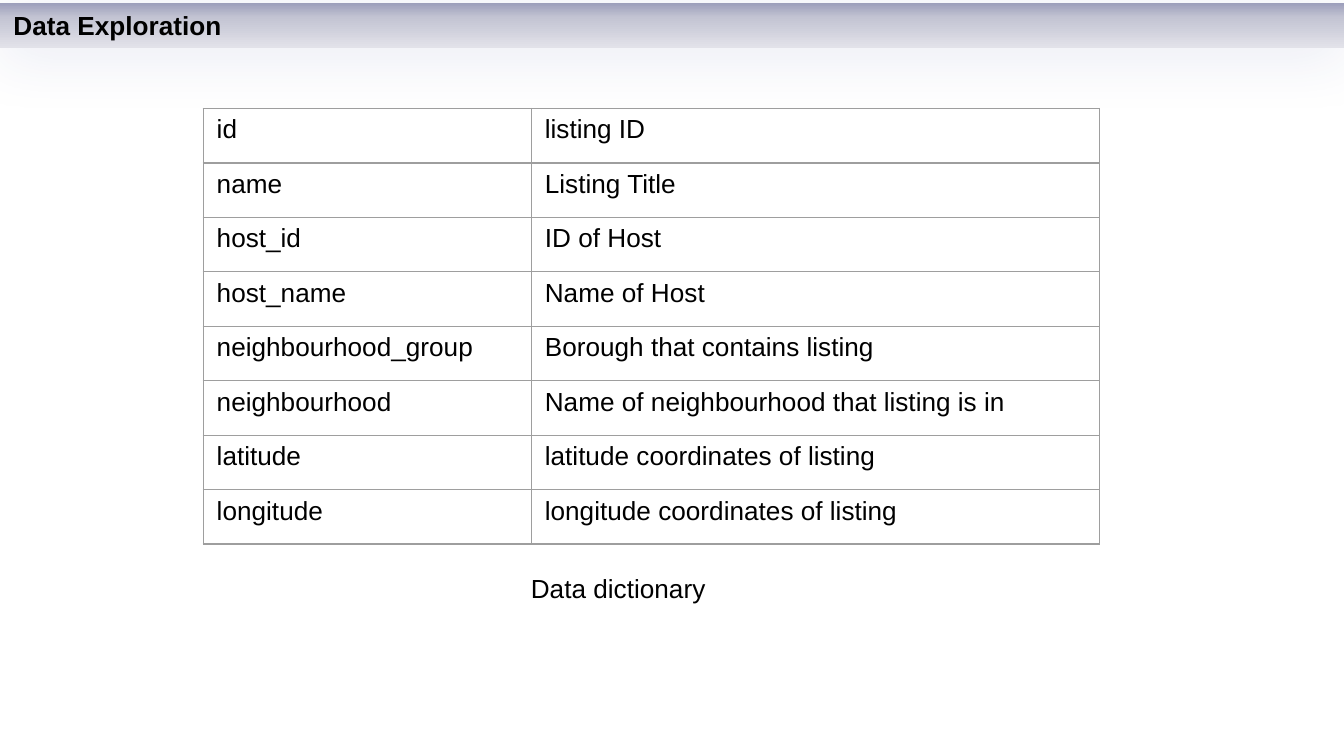
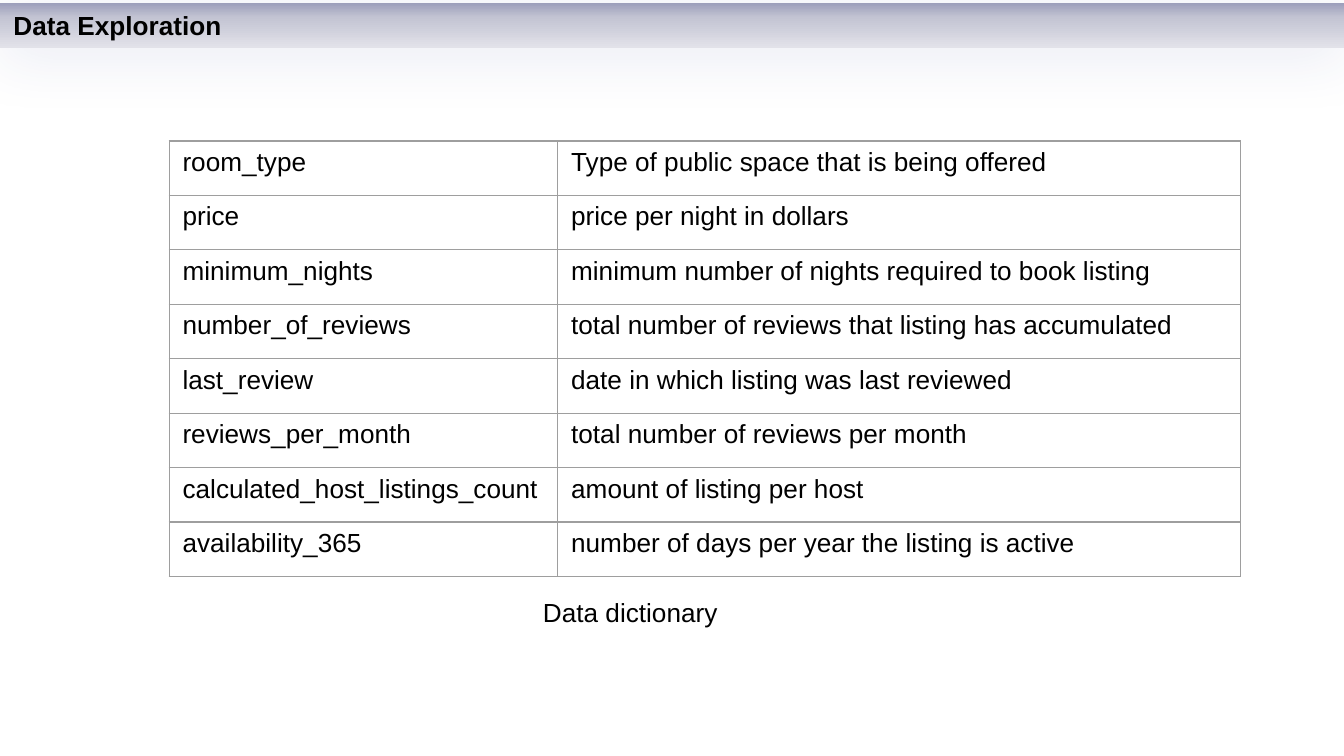
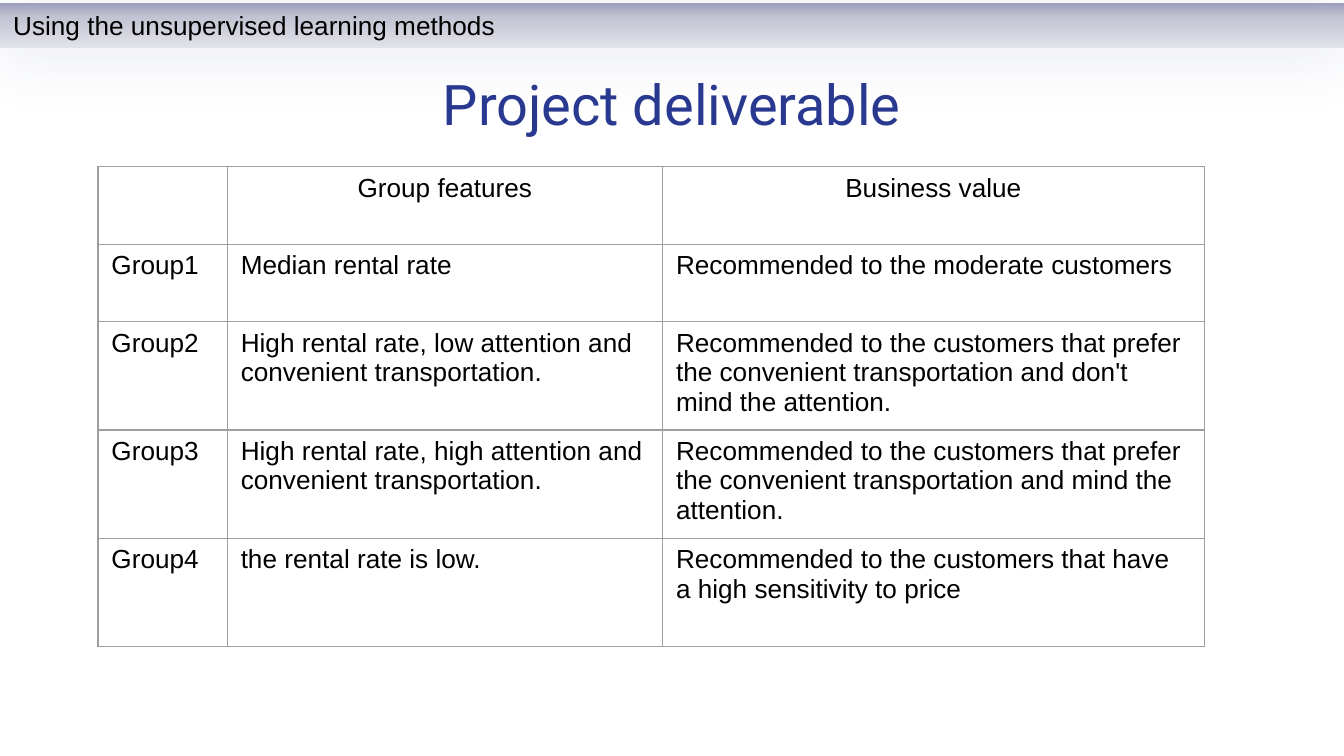
from pptx import Presentation
from pptx.dml.color import RGBColor
from pptx.enum.shapes import MSO_SHAPE
from pptx.enum.text import MSO_ANCHOR as ANCHOR, MSO_AUTO_SIZE as AUTO_SIZE, PP_ALIGN as ALIGN
from pptx.oxml import parse_xml
from pptx.oxml.ns import nsdecls
from pptx.util import Pt

COLORS = {"ink": "000000", "heading": "2A3990", "grid": "9E9E9E", "shadow": "2A3990"}
BAND_STOPS = [(0, "9B9DBA"), (33, "C3C4D3"), (100, "E2E2E9")]

BODY = {"name": "Arial", "size": Pt(14), "bold": False, "color": "ink"}
BAND_TITLE = {**BODY, "bold": True}
HEADING = {**BODY, "name": "Roboto", "size": Pt(30), "color": "heading"}

PAGE_SIZE = (720, 405)
BAND_AREA = (0, 1.4, 720, 24.3)
HEADING_AREA = (24.5, 31.6, 671, 47.5)
CAPTION_SIZE = (490, 24.3)
CAPTION_INDENT = 108
DICTIONARY_ROW = 29.18

PAGES = [
    {
        "title": "Data Exploration",
        "table": {
            "corner": (108.9, 58.1),
            "columns": [175.8, 304.2],
            "heights": [DICTIONARY_ROW] * 8,
            "rows": [
                ("id", "listing ID"),
                ("name", "Listing Title"),
                ("host_id", "ID of Host"),
                ("host_name", "Name of Host"),
                ("neighbourhood_group", "Borough that contains listing"),
                ("neighbourhood", "Name of neighbourhood that listing is in"),
                ("latitude", "latitude coordinates of listing"),
                ("longitude", "longitude coordinates of listing"),
            ],
        },
        "caption": ("Data dictionary", (176.4, 302.7)),
    },
    {
        "title": "Data Exploration",
        "table": {
            "corner": (90.6, 75.5),
            "columns": [208.2, 365.8],
            "heights": [DICTIONARY_ROW] * 8,
            "rows": [
                ("room_type", "Type of public space that is being offered"),
                ("price", "price per night in dollars"),
                ("minimum_nights", "minimum number of nights required to book listing"),
                ("number_of_reviews", "total number of reviews that listing has accumulated"),
                ("last_review", "date in which listing was last reviewed"),
                ("reviews_per_month", "total number of reviews per month"),
                ("calculated_host_listings_count", "amount of listing per host"),
                ("availability_365", "number of days per year the listing is active"),
            ],
        },
        "caption": ("Data dictionary", (182.9, 315.5)),
    },
    {
        "title": "Project deliverable",
        "band": "Using the unsupervised learning methods",
        "table": {
            "corner": (52.5, 89.4),
            "columns": [69.3, 233.2, 290.2],
            "heights": [41.5] * 2 + [58] * 3,
            "header": True,
            "rows": [
                ("", "Group features", "Business value"),
                ("Group1", "Median rental rate", "Recommended to the moderate customers"),
                ("Group2", "High rental rate, low attention and convenient transportation.",
                 "Recommended to the customers that prefer the convenient transportation "
                 "and don't mind the attention."),
                ("Group3", "High rental rate, high attention and convenient transportation.",
                 "Recommended to the customers that prefer the convenient transportation "
                 "and mind the attention."),
                ("Group4", "the rental rate is low.",
                 "Recommended to the customers that have a high sensitivity to price"),
            ],
        },
    },
]


def points(values):
    return [Pt(value) for value in values]


def write(frame, text, style, align=ALIGN.LEFT):
    para = frame.paragraphs[0]
    para.alignment = align
    span = para.add_run()
    span.text = text
    for name, value in style.items():
        if name == "color":
            span.font.color.rgb = RGBColor.from_string(COLORS[value])
        else:
            setattr(span.font, name, value)


def set_frame(frame, **extra):
    settings = {"word_wrap": True, "auto_size": AUTO_SIZE.NONE,
                "vertical_anchor": ANCHOR.MIDDLE, **extra}
    for name, value in settings.items():
        setattr(frame, name, value)


def draw_cell_grid(cell):
    properties = cell._tc.get_or_add_tcPr()
    for side in "LRTB":
        properties.append(parse_xml(
            f'<a:ln{side} {nsdecls("a")} w="{Pt(0.75)}"><a:solidFill>'
            f'<a:srgbClr val="{COLORS["grid"]}"/></a:solidFill></a:ln{side}>'))
    cell.fill.background()


def add_table(page, corner, columns, heights, rows, header=False):
    area = points([*corner, sum(columns), sum(heights)])
    table = page.shapes.add_table(len(rows), len(columns), *area).table
    table.first_row = header
    table.horz_banding = False
    for column, width in zip(table.columns, columns):
        column.width = Pt(width)
    for number, (row, height, texts) in enumerate(zip(table.rows, heights, rows)):
        row.height = Pt(height)
        align = ALIGN.CENTER if header and number == 0 else ALIGN.LEFT
        for cell, text in zip(row.cells, texts):
            draw_cell_grid(cell)
            if text:
                write(cell.text_frame, text, BODY, align)


def add_caption(page, text, corner):
    box = page.shapes.add_textbox(*points([*corner, *CAPTION_SIZE]))
    set_frame(box.text_frame, margin_left=Pt(CAPTION_INDENT))
    write(box.text_frame, text, BODY)


def add_band(page):
    """Add the shaded strip at the top, behind the page title."""
    band = page.shapes.add_shape(MSO_SHAPE.RECTANGLE, *points(BAND_AREA))
    band.line.fill.background()
    band.shadow.inherit = False
    stops = "".join(f'<a:gs pos="{share * 1000}"><a:srgbClr val="{color}"/></a:gs>'
                    for share, color in BAND_STOPS)
    properties = band.element.spPr
    properties.insert(2, parse_xml(
        f'<a:gradFill {nsdecls("a")}><a:gsLst>{stops}</a:gsLst>'
        '<a:lin ang="5400000" scaled="0"/></a:gradFill>'))
    properties[-1].append(parse_xml(
        f'<a:outerShdw {nsdecls("a")} blurRad="{Pt(32)}" dist="{Pt(4)}" dir="5400000" '
        f'algn="ctr" rotWithShape="0"><a:srgbClr val="{COLORS["shadow"]}">'
        '<a:alpha val="9000"/></a:srgbClr></a:outerShdw>'))
    set_frame(band.text_frame)
    page.shapes.title.element.addprevious(band.element)
    return band


def place_title(page, text, area, style, align):
    title = page.shapes.title
    title.left, title.top, title.width, title.height = points(area)
    set_frame(title.text_frame)
    write(title.text_frame, text, style, align)


def main():
    deck = Presentation()
    deck.slide_width, deck.slide_height = points(PAGE_SIZE)
    title_only = deck.slide_layouts[5]
    for content in PAGES:
        page = deck.slides.add_slide(title_only)
        band = add_band(page)
        if "band" in content:
            write(band.text_frame, content["band"], BODY)
            place_title(page, content["title"], HEADING_AREA, HEADING, ALIGN.CENTER)
        else:
            place_title(page, content["title"], BAND_AREA, BAND_TITLE, ALIGN.LEFT)
        add_table(page, **content["table"])
        if "caption" in content:
            add_caption(page, *content["caption"])
    deck.save("out.pptx")


if __name__ == "__main__":
    main()
